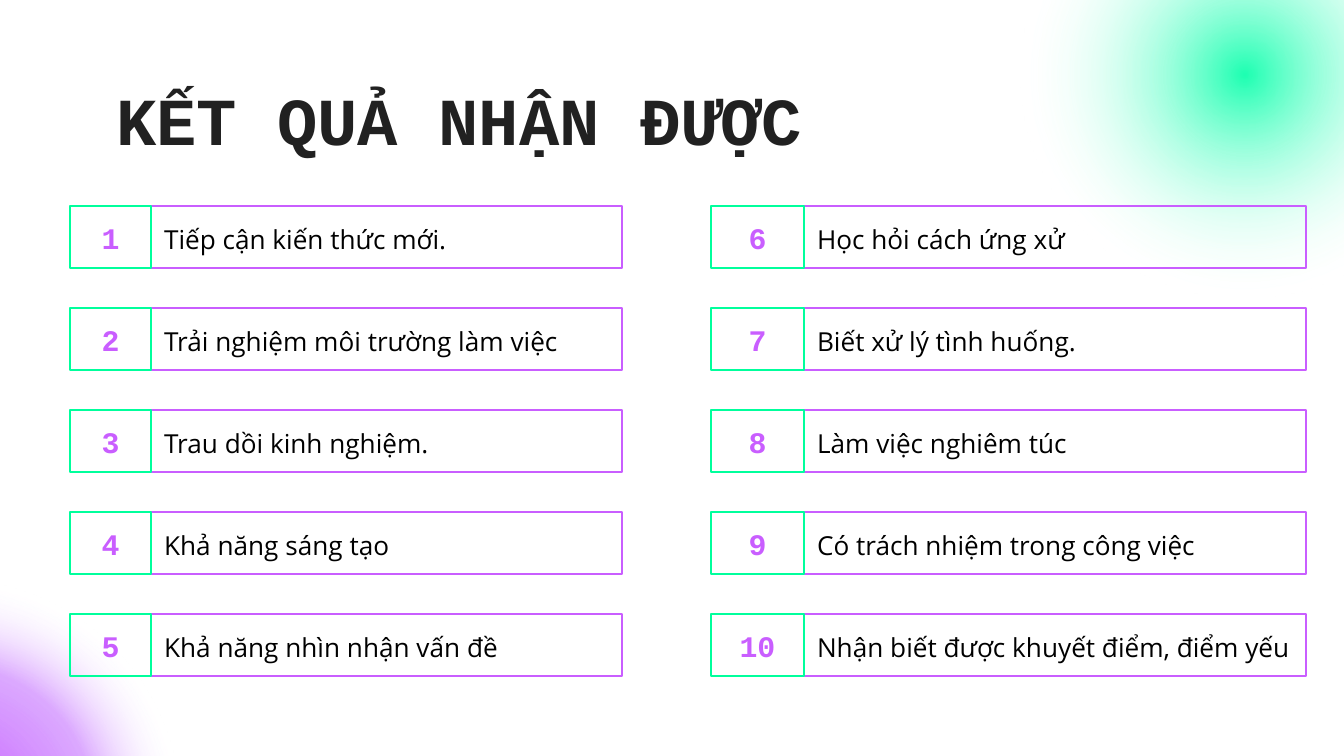
from lxml import etree
from pptx import Presentation
from pptx import util as u
from pptx.dml.color import RGBColor
from pptx.enum import shapes, text
from pptx.oxml import parse_xml
from pptx.oxml.ns import nsdecls

PX = 914400 / 134.4
GREEN, PURPLE = "00FF9C", "C95EFF"
BODY = {"name": "Open Sans", "size": u.Pt(14), "bold": False}
NUMBER = {"name": "Courier New", "size": u.Pt(16), "bold": True}
TITLE = {"name": "Courier New", "size": u.Pt(36), "bold": True}


def px(*lengths):
    return [u.Emu(round(n * PX)) for n in lengths]


def write(s, words, font, color, align, top=13):
    tf = s.text_frame
    tf.word_wrap = True
    tf.vertical_anchor = text.MSO_ANCHOR.MIDDLE
    tf.margin_left, tf.margin_top, tf.margin_right, tf.margin_bottom = px(13, top, 13, 13)
    p = tf.paragraphs[0]
    p.alignment = align
    r = p.add_run()
    r.text = words
    for name, value in font.items():
        setattr(r.font, name, value)
    r.font.color.rgb = RGBColor.from_string(color)
    return p


prs = Presentation()
prs.slide_width, prs.slide_height = px(1344, 756)
slide = prs.slides.add_slide(prs.slide_layouts[6])

# Corner glows: box, then stops of (position %, colour, opacity %)
glows = [
    ((927, -243, 634, 634),
     [(0, "1EFFB2", 100), (50, "FFFFFF", 0), (100, "FFFFFF", 0)]),
    ((-319, 542, 536, 536),
     [(0, PURPLE, 100), (38, "BF62FF", 54), (61, "FFFFFF", 0), (100, "FFFFFF", 0)]),
]
for box, stops in glows:
    s = slide.shapes.add_shape(shapes.MSO_SHAPE.OVAL, *px(*box))
    s.shadow.inherit = False
    s.line.fill.background()
    gs = "".join(
        f'<a:gs pos="{pos * 1000}"><a:srgbClr val="{color}">'
        f'<a:alpha val="{alpha * 1000}"/></a:srgbClr></a:gs>'
        for pos, color, alpha in stops)
    grad = parse_xml(
        f'<a:gradFill {nsdecls("a")}><a:gsLst>{gs}</a:gsLst><a:path path="circle">'
        '<a:fillToRect l="50000" t="50000" r="50000" b="50000"/></a:path></a:gradFill>')
    s._element.spPr.find("{*}prstGeom").addnext(grad)

s = slide.shapes.add_textbox(*px(103, 50, 1136, 138))
write(s, "KẾT QUẢ NHẬN ĐƯỢC", TITLE, "212121", text.PP_ALIGN.LEFT)

# Each column: left edge, number width, text width, results
columns = [
    (70, 81, 471, ["Tiếp cận kiến thức mới.", "Trải nghiệm môi trường làm việc",
                   "Trau dồi kinh nghiệm.", "Khả năng sáng tạo",
                   "Khả năng nhìn nhận vấn đề"]),
    (711, 93, 502, ["Học hỏi cách ứng xử", "Biết xử lý tình huống.",
                    "Làm việc nghiêm túc", "Có trách nhiệm trong công việc",
                    "Nhận biết được khuyết điểm, điểm yếu"]),
]
TOP, PITCH, HEIGHT = 206, 102, 62
number = 0
for left, number_w, text_w, results in columns:
    for row, result in enumerate(results):
        number += 1
        y = TOP + row * PITCH
        cells = [
            (left + number_w, text_w, PURPLE, result, BODY, "000000",
             text.PP_ALIGN.LEFT, 13),
            (left, number_w, GREEN, str(number), NUMBER, PURPLE,
             text.PP_ALIGN.CENTER, 9),
        ]
        for x, w, outline, words, font, color, align, inset in cells:
            s = slide.shapes.add_shape(shapes.MSO_SHAPE.RECTANGLE, *px(x, y, w, HEIGHT))
            s.shadow.inherit = False
            s.fill.background()
            s.line.color.rgb = RGBColor.from_string(outline)
            s.line.width = u.Pt(0.75)
            p = write(s, words, font, color, align, inset)
            p.line_spacing = 1.15
            p.space_after = u.Pt(16)

prs.save("out.pptx")
